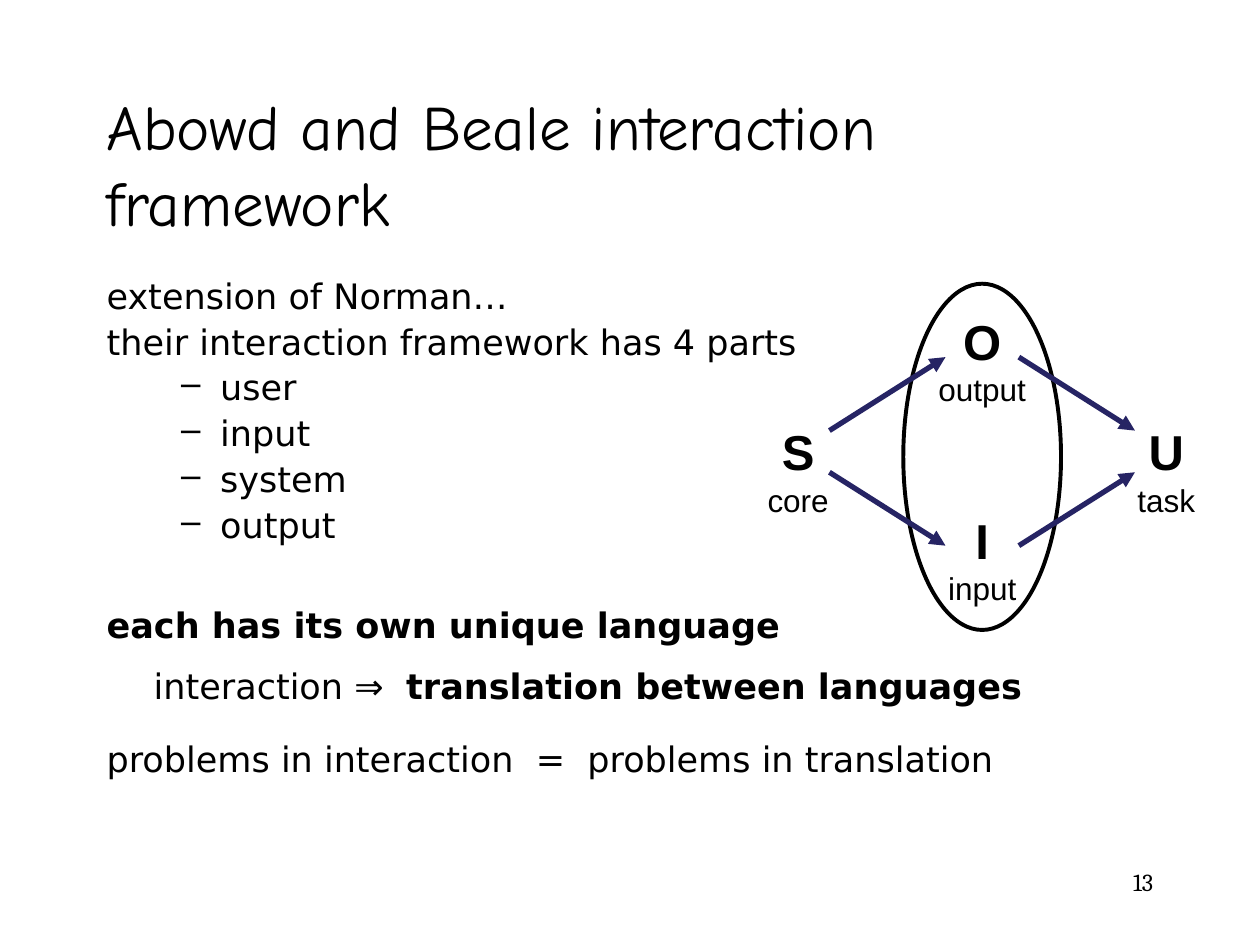
import pptx
import pptx.util
import pptx.dml.color
import pptx.enum.shapes
import pptx.enum.text
import pptx.oxml.ns
import lxml.etree

Cm = pptx.util.Cm
Pt = pptx.util.Pt
ALIGN = pptx.enum.text.PP_ALIGN
HUES = {"ink": "000000", "arrow": "262464"}


def hue(name):
    return pptx.dml.color.RGBColor.from_string(HUES[name])


def sub(node, tag, **attrs):
    return lxml.etree.SubElement(node, pptx.oxml.ns.qn(tag), attrs)


def apply(item, form):
    for key, value in form.items():
        setattr(item, key, value)


def write(para, text, face, size, bold=False):
    run = para.add_run()
    run.text = text
    apply(run.font, {"name": face, "size": Pt(size), "bold": bold})
    run.font.color.rgb = hue("ink")


def frame(shapes, box, **form):
    text = shapes.add_textbox(*map(Cm, box)).text_frame
    apply(text, {"word_wrap": True, **form})
    return text


def title(slide, box):
    text = frame(slide.shapes, box, vertical_anchor=pptx.enum.text.MSO_ANCHOR.MIDDLE)
    write(text.paragraphs[0], "Abowd and Beale interaction framework", "Comic Neue", 36)


def body(slide, box):
    gap = 4.6
    lines = [
        (0, 0, [("extension of Norman…", False)]),
        (0, gap, [("their interaction framework has 4 parts", False)]),
        *[(1, gap, [(part, False)]) for part in ("user", "input", "system", "output")],
        (0, 35.6, [("each has its own unique language", True)]),
        (2, 13.3, [("interaction ⇒  ", False), ("translation between languages", True)]),
        (0, 20.2, [("problems in interaction  =  problems in translation", False)]),
    ]
    dents = [(0.95, -0.95), (2.29, -0.79), (0.95, 0)]
    text = frame(slide.shapes, box)
    for row, (kind, space, runs) in enumerate(lines):
        para = text.add_paragraph() if row else text.paragraphs[0]
        apply(para, {"line_spacing": 0.9, "space_before": Pt(space)})
        props = para._p.get_or_add_pPr()
        left, first = dents[kind]
        props.set("marL", str(Cm(left)))
        props.set("indent", str(Cm(first)))
        if kind == 1:
            sub(props, "a:buChar", char="–")
        for words, bold in runs:
            write(para, words, "DejaVu Sans", 20, bold)


def label(shapes, mid, top, sign, name):
    wide = 2.3
    text = frame(shapes, (mid - wide / 2, top, wide, 2.21), word_wrap=False)
    pairs = [(text.paragraphs[0], sign, 28, True), (text.add_paragraph(), name, 18, False)]
    for para, words, size, bold in pairs:
        para.alignment = ALIGN.CENTER
        write(para, words, "Arial", size, bold)


def arrow(shapes, *ends):
    line = shapes.add_connector(
        pptx.enum.shapes.MSO_CONNECTOR.STRAIGHT, *map(Cm, ends))
    line.line.color.rgb = hue("arrow")
    line.line.width = Pt(3)
    sub(line.line._get_or_add_ln(), "a:tailEnd", type="triangle")
    sub(line._element.spPr, "a:effectLst")


def model(slide, box):
    left, top, wide, high = box
    mid = left + wide / 2
    shapes = slide.shapes.add_group_shape().shapes
    oval = shapes.add_shape(
        pptx.enum.shapes.MSO_SHAPE.OVAL, Cm(mid - 1.59), Cm(top), Cm(3.18), Cm(high))
    oval.shadow.inherit = False
    oval.fill.background()
    oval.line.color.rgb = hue("ink")
    oval.line.width = Pt(2.25)
    for shift, drop, sign, name in [
        (-3.71, 2.66, "S", "core"),
        (3.71, 2.66, "U", "task"),
        (0, 0.43, "O", "output"),
        (0, 4.44, "I", "input"),
    ]:
        label(shapes, mid + shift, top + drop, sign, name)
    axis = top + 3.38
    near, far = 0.74, 3.08
    for side in (-1, 1):
        outer, inner = axis + side * 0.42, axis + side * 1.9
        arrow(shapes, mid - far, outer, mid - near, inner)
        arrow(shapes, mid + near, inner, mid + far, outer)


def number(slide, box):
    para = frame(slide.shapes, box).paragraphs[0]
    para.alignment = ALIGN.RIGHT
    write(para, "13", "Cambria", 14)


deck = pptx.Presentation()
apply(deck, {"slide_width": Cm(25.4), "slide_height": Cm(19.05)})
page = deck.slides.add_slide(deck.slide_layouts[6])
title(page, (1.9, 1.7, 19.05, 3.18))
body(page, (1.9, 5.5, 21.6, 11.43))
model(page, (15.2, 5.72, 9.2, 6.98))
number(page, (18.2, 17.35, 5.3, 1.27))
deck.save("out.pptx")
